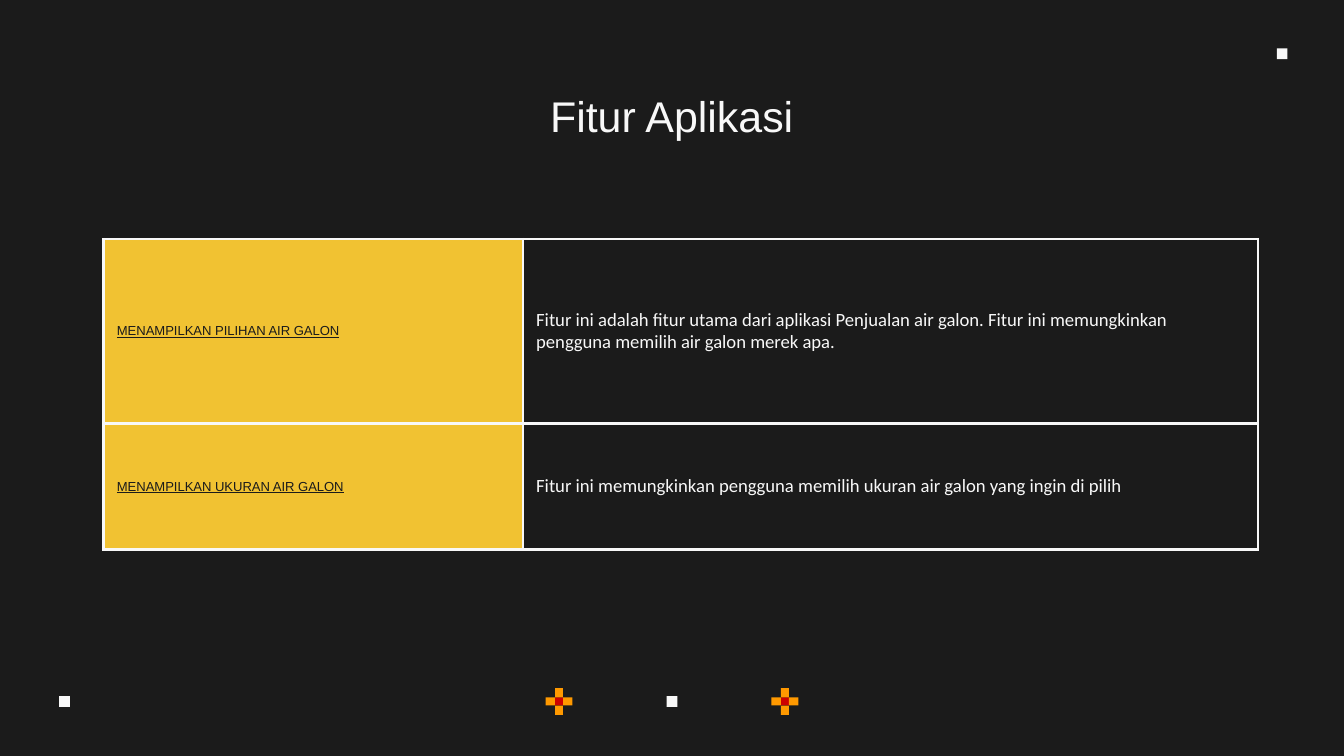
from lxml import etree
from pptx import Presentation
from pptx.dml.color import RGBColor
from pptx.enum.shapes import MSO_SHAPE
from pptx.enum.text import MSO_ANCHOR, PP_ALIGN
from pptx.oxml.ns import qn
from pptx.util import Inches, Pt

RECTANGLE = MSO_SHAPE.RECTANGLE
TOP, MIDDLE = MSO_ANCHOR.TOP, MSO_ANCHOR.MIDDLE
CENTER = PP_ALIGN.CENTER
DARK = RGBColor(0x1B, 0x1B, 0x1B)
LIGHT = RGBColor(0xF8, 0xF8, 0xF8)
YELLOW = RGBColor(0xF1, 0xC2, 0x32)
ORANGE = RGBColor(0xFF, 0x99, 0x00)
RED = RGBColor(0xCC, 0x00, 0x00)

FEATURES = [
    ("MENAMPILKAN PILIHAN AIR GALON",
     "Fitur ini adalah fitur utama dari aplikasi Penjualan air galon. "
     "Fitur ini memungkinkan pengguna memilih air galon merek apa."),
    ("MENAMPILKAN UKURAN AIR GALON",
     "Fitur ini memungkinkan pengguna memilih ukuran air galon yang ingin di pilih"),
]

# Widescreen deck, 16:9
deck = Presentation()
deck.slide_width = Inches(10)
deck.slide_height = Inches(10 * 9 / 16)
slide = deck.slides.add_slide(deck.slide_layouts[5])
slide.background.fill.solid()
slide.background.fill.fore_color.rgb = DARK


def add_block(left, top, width, height, color):
    block = slide.shapes.add_shape(
        RECTANGLE, Inches(left), Inches(top), Inches(width), Inches(height))
    block.shadow.inherit = False
    block.fill.solid()
    block.fill.fore_color.rgb = color
    block.line.fill.background()


def set_borders(cell, color, points):
    properties = cell._tc.get_or_add_tcPr()
    for index, tag in enumerate(("a:lnL", "a:lnR", "a:lnT", "a:lnB")):
        line = etree.Element(qn(tag), w=str(Pt(points)))
        fill = etree.SubElement(line, qn("a:solidFill"))
        etree.SubElement(fill, qn("a:srgbClr"), val=str(color))
        properties.insert(index, line)


# Small squares and pixel flowers
for left, top in ((4.96, 5.18), (9.5, 0.36), (0.44, 5.18)):
    add_block(left, top, 0.08, 0.08, LIGHT)

for left in (4.06, 5.74):
    add_block(left + 0.07, 5.19, 0.06, 0.06, RED)
    for petal_left in (left, left + 0.13):
        add_block(petal_left, 5.19, 0.07, 0.06, ORANGE)
    for petal_top in (5.12, 5.25):
        add_block(left + 0.07, petal_top, 0.06, 0.07, ORANGE)

# Title
title = slide.shapes.title
title.left, title.top = Inches(0.78), Inches(0.57)
title.width, title.height = Inches(8.44), Inches(0.51)
frame = title.text_frame
frame.text = "Fitur Aplikasi"
frame.vertical_anchor = TOP
frame.margin_left = frame.margin_right = Inches(0.1)
frame.margin_top = frame.margin_bottom = Inches(0.1)
para = frame.paragraphs[0]
para.alignment = CENTER
font = para.runs[0].font
font.name, font.size = "Arial", Pt(23)
font.color.rgb = LIGHT

# Feature table
table = slide.shapes.add_table(
    2, 2, Inches(0.77), Inches(1.78), Inches(8.59), Inches(2.31)).table
table.first_row = table.horz_banding = False
for column, width in zip(table.columns, (3.12, 5.47)):
    column.width = Inches(width)
for row, height in zip(table.rows, (1.37, 0.94)):
    row.height = Inches(height)

for row, texts in zip(table.rows, FEATURES):
    for column_index, (cell, text) in enumerate(zip(row.cells, texts)):
        is_name = column_index == 0
        cell.text = text
        cell.vertical_anchor = MIDDLE
        cell.margin_left = cell.margin_right = Inches(0.1)
        cell.margin_top = cell.margin_bottom = Inches(0.1)
        para = cell.text_frame.paragraphs[0]
        font = para.runs[0].font
        if is_name:
            cell.fill.solid()
            cell.fill.fore_color.rgb = YELLOW
            font.name, font.size = "Arial", Pt(7)
            font.color.rgb = DARK
        else:
            cell.fill.background()
            para.space_after = Pt(16)
            font.name, font.size = "Calibri", Pt(10)
            font.color.rgb = LIGHT
        font.underline = is_name
        set_borders(cell, LIGHT, 1.5)

deck.save("out.pptx")
